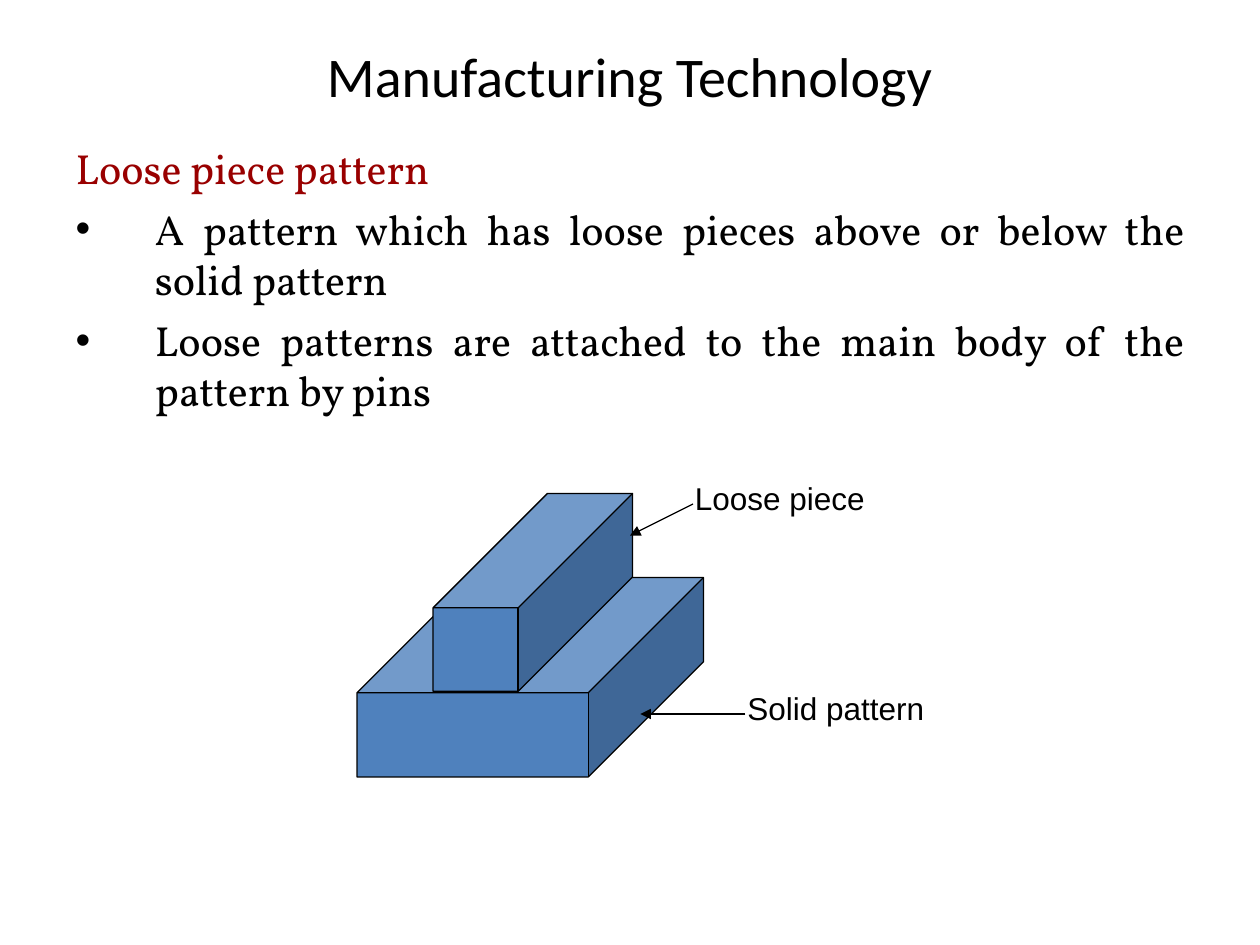
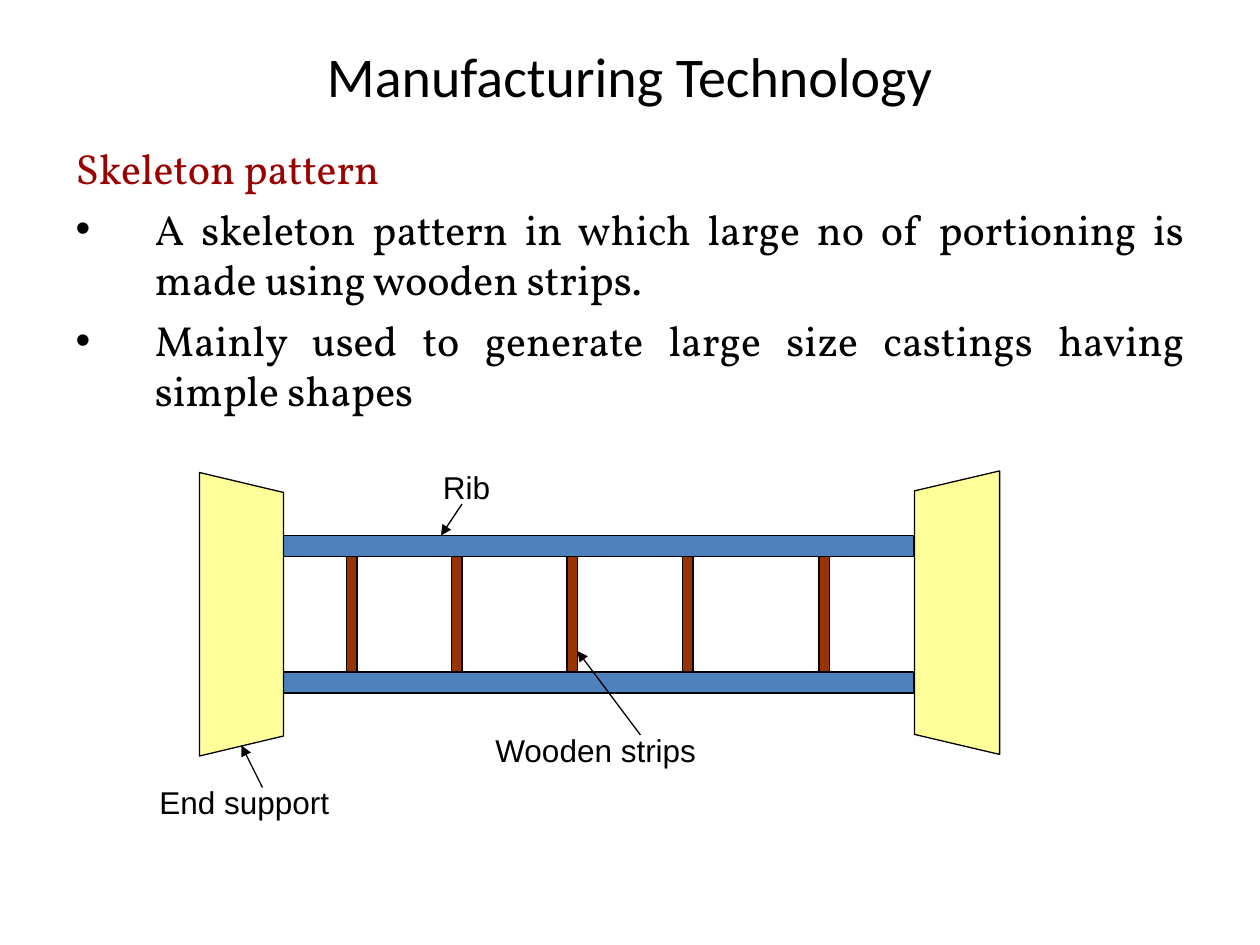
import dataclasses

import lxml.etree
import pptx
import pptx.dml.color
import pptx.enum.shapes
import pptx.enum.text
import pptx.oxml
import pptx.oxml.ns
import pptx.util

SHAPES = pptx.enum.shapes.MSO_SHAPE
ALIGN = pptx.enum.text.PP_ALIGN
BLACK, HEADING_RED, PATTERN_BLUE = "000000", "990000", "4F81BD"
WOOD_BROWN, SUPPORT_YELLOW = "993300", "FFFF99"
CELL = pptx.util.Inches(1) // 12
LABEL_ROWS = 4.8
OUTLINE = pptx.util.Pt(0.75)


@dataclasses.dataclass
class Box:
    """A drawing region, placed in columns and rows of a 120 by 90 grid."""
    slide: object
    col: float
    row: float

    def point(self, col, row):
        """Return the slide position of a point inside the region."""
        return round((self.col + col) * CELL), round((self.row + row) * CELL)

    def frame(self, col, row, cols, rows):
        """Return left, top, width and height of a part of the region."""
        return *self.point(col, row), round(cols * CELL), round(rows * CELL)


def rgb(value):
    """Turn a hex string into a colour."""
    return pptx.dml.color.RGBColor.from_string(value)


def set_font(paragraph, face, size, colour=BLACK):
    """Format a whole paragraph."""
    paragraph.font.name = face
    paragraph.font.size = pptx.util.Pt(size)
    paragraph.font.color.rgb = rgb(colour)


def paint(shape, colour):
    """Give a shape a flat fill and a thin black outline."""
    shape.shadow.inherit = False
    shape.fill.solid()
    shape.fill.fore_color.rgb = rgb(colour)
    shape.line.color.rgb = rgb(BLACK)
    shape.line.width = OUTLINE


def add_block(box, kind, frame, colour):
    """Draw a preset shape in the region."""
    block = box.slide.shapes.add_shape(kind, *box.frame(*frame))
    paint(block, colour)
    return block


def add_label(box, text, col, row, cols):
    """Name a part of the drawing."""
    label = box.slide.shapes.add_textbox(*box.frame(col, row, cols, LABEL_ROWS))
    label.text_frame.word_wrap = True
    paragraph = label.text_frame.paragraphs[0]
    paragraph.text = text
    set_font(paragraph, "Arial", 18)


def add_pointer(box, start, end):
    """Draw an arrow from a label to its part."""
    pointer = box.slide.shapes.add_connector(
        pptx.enum.shapes.MSO_CONNECTOR.STRAIGHT, *box.point(*start), *box.point(*end))
    pointer.line.color.rgb = rgb(BLACK)
    pointer.line.width = OUTLINE
    line = pointer.line._get_or_add_ln()
    lxml.etree.SubElement(line, pptx.oxml.ns.qn("a:tailEnd"), type="triangle")
    lxml.etree.SubElement(pointer._element.spPr, pptx.oxml.ns.qn("a:effectLst"))


def annotate(box, notes):
    """Add every label together with its arrow."""
    for text, place, start, end in notes:
        add_label(box, text, *place)
        add_pointer(box, start, end)


def place_share(shape, deck, left, top, width, height):
    """Place a placeholder by shares of the slide's size."""
    shape.left, shape.width = round(left * deck.slide_width), round(width * deck.slide_width)
    shape.top, shape.height = round(top * deck.slide_height), round(height * deck.slide_height)


def add_topic_slide(deck, heading, points):
    """Add a slide with the course title, a red heading and bullet points."""
    slide = deck.slides.add_slide(deck.slide_layouts[1])
    title, body = slide.placeholders
    place_share(title, deck, 0.05, 0.04, 0.9, 0.08)
    title.text = "Manufacturing Technology"
    set_font(title.text_frame.paragraphs[0], "Calibri", 32)

    place_share(body, deck, 0.05, 0.1333, 0.9, 0.76)
    body.text = "\n".join([heading, *points])
    for frame in (title.text_frame, body.text_frame):
        frame.auto_size = pptx.enum.text.MSO_AUTO_SIZE.NONE
    for index, paragraph in enumerate(body.text_frame.paragraphs):
        paragraph.alignment = ALIGN.JUSTIFY
        paragraph.space_before = pptx.util.Pt(6 if index else 0)
        paragraph.line_spacing = 1.0 if index else 1.2
        properties = paragraph._p.get_or_add_pPr()
        indent = pptx.util.Inches(0.63)
        properties.set("marL", str(indent))
        properties.set("indent", str(-indent))
        if index:
            bullet = lxml.etree.SubElement(properties, pptx.oxml.ns.qn("a:buChar"))
            bullet.set("char", "•")
        else:
            lxml.etree.SubElement(properties, pptx.oxml.ns.qn("a:buNone"))
        set_font(paragraph, "Vollkorn", 24, BLACK if index else HEADING_RED)
    return slide


def draw_loose_piece(box):
    """Draw the loose piece resting on the solid pattern."""
    for frame in ((0, 10, 33, 19), (7.25, 2, 19, 18.85)):
        add_block(box, SHAPES.CUBE, frame, PATTERN_BLUE).adjustments[0] = 0.578
    annotate(box, [
        ("Solid pattern", (36, 20, 22), (37, 23), (27, 23)),
        ("Loose piece", (31, 0, 22), (32, 3), (26, 6)),
    ])


def add_end_support(box, outer, inner, top):
    """Draw a support that is taller on its outer side."""
    height, slope = 27, 1.9
    corners = [box.point(*corner) for corner in (
        (outer, top), (inner, top + slope),
        (inner, top + height - slope), (outer, top + height))]
    outline = box.slide.shapes.build_freeform(*corners[0])
    outline.add_line_segments(corners[1:], close=True)
    paint(outline.convert_to_shape(), SUPPORT_YELLOW)


def draw_skeleton(box):
    """Draw the ribs and wooden strips between two end supports."""
    for row in (7, 20):
        add_block(box, SHAPES.RECTANGLE, (13, row, 60, 2), PATTERN_BLUE)
    for col in (19, 29, 40, 51, 64):
        add_block(box, SHAPES.RECTANGLE, (col, 9, 1, 11), WOOD_BROWN)
    add_end_support(box, 5, 13, 1)
    add_end_support(box, 81.2, 73.1, 0.85)
    annotate(box, [
        ("Rib", (27, 0, 14), (30, 4), (28, 7)),
        ("Wooden strips", (32, 25, 23), (47, 26), (41, 18)),
        ("End support", (0, 30, 21), (11, 31), (9, 27)),
    ])


def main():
    """Build and save the deck."""
    deck = pptx.Presentation()
    deck.slide_width, deck.slide_height = pptx.util.Inches(10), pptx.util.Inches(7.5)
    loose = add_topic_slide(deck, "Loose piece pattern", [
        "A pattern which has loose pieces above or below the solid pattern",
        "Loose patterns are attached to the main body of the pattern by pins",
    ])
    draw_loose_piece(Box(loose, 34, 45))
    skeleton = add_topic_slide(deck, "Skeleton pattern", [
        "A skeleton pattern in which large no of portioning is made using wooden strips.",
        "Mainly used to generate large size castings having simple shapes",
    ])
    draw_skeleton(Box(skeleton, 14, 44))
    deck.save("out.pptx")


if __name__ == "__main__":
    main()
